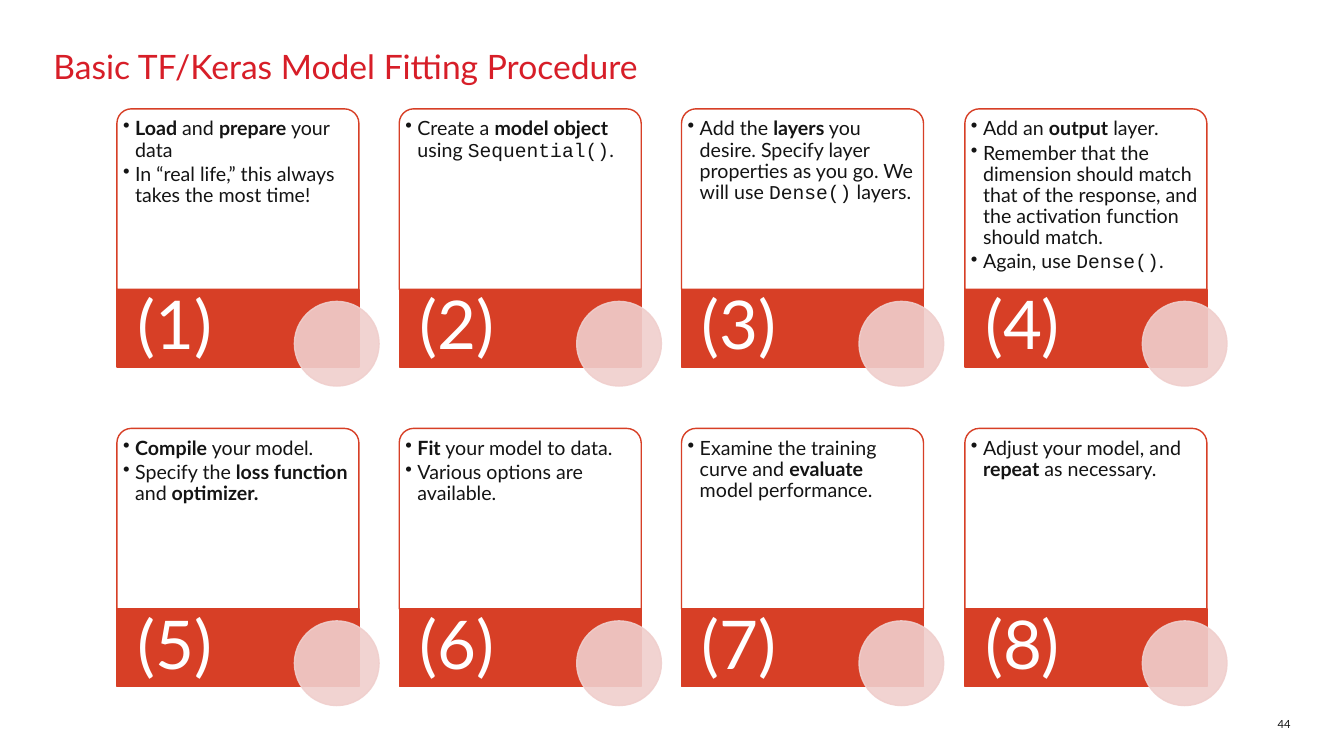
import dataclasses
import lxml.etree
import pptx
import pptx.dml.color
import pptx.enum.shapes
import pptx.enum.text
import pptx.oxml.ns
import pptx.util


@dataclasses.dataclass(frozen=True)
class Theme:
    title: str = "D71E28"
    band: str = "D73F26"
    disc: str = "F0CFCD"
    ink: str = "141414"
    white: str = "FFFFFF"
    face: str = "Lato"
    code_face: str = "Courier New"
    title_size: int = 24
    body_size: int = 14
    step_size: int = 48
    page_size: int = 8


theme = Theme()
PX = 9144
PRESETS = pptx.enum.shapes.MSO_SHAPE
ANCHORS = pptx.enum.text.MSO_ANCHOR
ALIGNMENTS = pptx.enum.text.PP_ALIGN
qn = pptx.oxml.ns.qn

deck = pptx.Presentation()
deck.slide_width = 1333 * PX
deck.slide_height = 750 * PX
page = deck.slides.add_slide(deck.slide_layouts[6])


def add_panel(preset, place, fill, line, see_through):
    shape = page.shapes.add_shape(preset, *[length * PX for length in place])
    shape.shadow.inherit = False
    shape.fill.solid()
    shape.fill.fore_color.rgb = pptx.dml.color.RGBColor.from_string(fill)
    shape.line.color.rgb = pptx.dml.color.RGBColor.from_string(line)
    shape.line.width = pptx.util.Pt(1)
    for path_name in see_through:
        color = shape.element.spPr.find(path_name + "/" + qn("a:srgbClr"))
        lxml.etree.SubElement(color, qn("a:alpha"), val="90000")
    return shape


def add_text(place, paragraphs, size, color, insets=(0, 0, 0, 0), anchor=ANCHORS.TOP,
             align=ALIGNMENTS.LEFT, spacing=0.9, bullets=False):
    box = page.shapes.add_textbox(*[length * PX for length in place])
    frame = box.text_frame
    frame.word_wrap = True
    frame.vertical_anchor = anchor
    frame.margin_left, frame.margin_top, frame.margin_right, frame.margin_bottom = [
        inset * PX for inset in insets]
    for index, spans in enumerate(paragraphs):
        para = frame.add_paragraph() if index else frame.paragraphs[0]
        para.alignment = align
        para.line_spacing = spacing
        if bullets:
            para.space_after = pptx.util.Pt(2.1)
            properties = para._p.get_or_add_pPr()
            properties.set("marL", str(12 * PX))
            properties.set("indent", str(-12 * PX))
            lxml.etree.SubElement(properties, qn("a:buChar"), char="•")
        for text, style in spans:
            span = para.add_run()
            span.text = text
            span.font.size = pptx.util.Pt(size)
            span.font.bold = style == "bold"
            span.font.name = theme.code_face if style == "code" else theme.face
            span.font.color.rgb = pptx.dml.color.RGBColor.from_string(color)


steps = [
    [
        [("Load", "bold"), (" and ", "plain"), ("prepare", "bold"), (" your data", "plain")],
        [("In “real life,” this always takes the most time!", "plain")],
    ],
    [
        [("Create a ", "plain"), ("model object", "bold"), (" using ", "plain"),
         ("Sequential()", "code"), (".", "plain")],
    ],
    [
        [("Add the ", "plain"), ("layers", "bold"),
         (" you desire. Specify layer properties as you go. We will use ", "plain"),
         ("Dense()", "code"), (" layers.", "plain")],
    ],
    [
        [("Add an ", "plain"), ("output", "bold"), (" layer.", "plain")],
        [("Remember that the dimension should match that of the response, "
          "and the activation function should match.", "plain")],
        [("Again, use ", "plain"), ("Dense()", "code"), (".", "plain")],
    ],
    [
        [("Compile", "bold"), (" your model.", "plain")],
        [("Specify the", "plain"), (" loss function ", "bold"), ("and", "plain"),
         (" optimizer.", "bold")],
    ],
    [
        [("Fit", "bold"), (" your model to data.", "plain")],
        [("Various options are available.", "plain")],
    ],
    [
        [("Examine the training curve and ", "plain"), ("evaluate", "bold"),
         (" model performance.", "plain")],
    ],
    [
        [("Adjust your model, and ", "plain"), ("repeat", "bold"), (" as necessary.", "plain")],
    ],
]

add_text((53, 50, 1227, 110), [[("Basic TF/Keras Model Fitting Procedure", "plain")]],
         theme.title_size, theme.title)

fill_part = qn("a:solidFill")
line_part = qn("a:ln") + "/" + qn("a:solidFill")
for number, notes in enumerate(steps, start=1):
    row, column = divmod(number - 1, 4)
    left = 116 + 280 * column + column // 3
    top = 108 + 317 * row
    card = add_panel(PRESETS.ROUND_2_SAME_RECTANGLE, (left, top, 240, 179),
                     theme.white, theme.band, [fill_part])
    card.adjustments[0] = 0.08
    card.adjustments[1] = 0
    add_text((left + 4, top + 4, 231, 175), notes, theme.body_size, theme.ink,
             insets=(2, 6, 2, 2), bullets=True)
    add_panel(PRESETS.RECTANGLE, (left, top + 179, 240, 77), theme.band, theme.band, [])
    add_text((left, top + 179, 169, 77), [[(f"({number})", "plain")]], theme.step_size,
             theme.white, insets=(20, 0, 7, 0), anchor=ANCHORS.MIDDLE)
    add_panel(PRESETS.OVAL, (left + 176, top + 191, 84, 84), theme.disc, theme.disc,
              [fill_part, line_part])

add_text((1227, 700, 53, 25), [[("44", "plain")]], theme.page_size, theme.ink,
         anchor=ANCHORS.BOTTOM, align=ALIGNMENTS.RIGHT, spacing=1.0)

deck.save("out.pptx")
